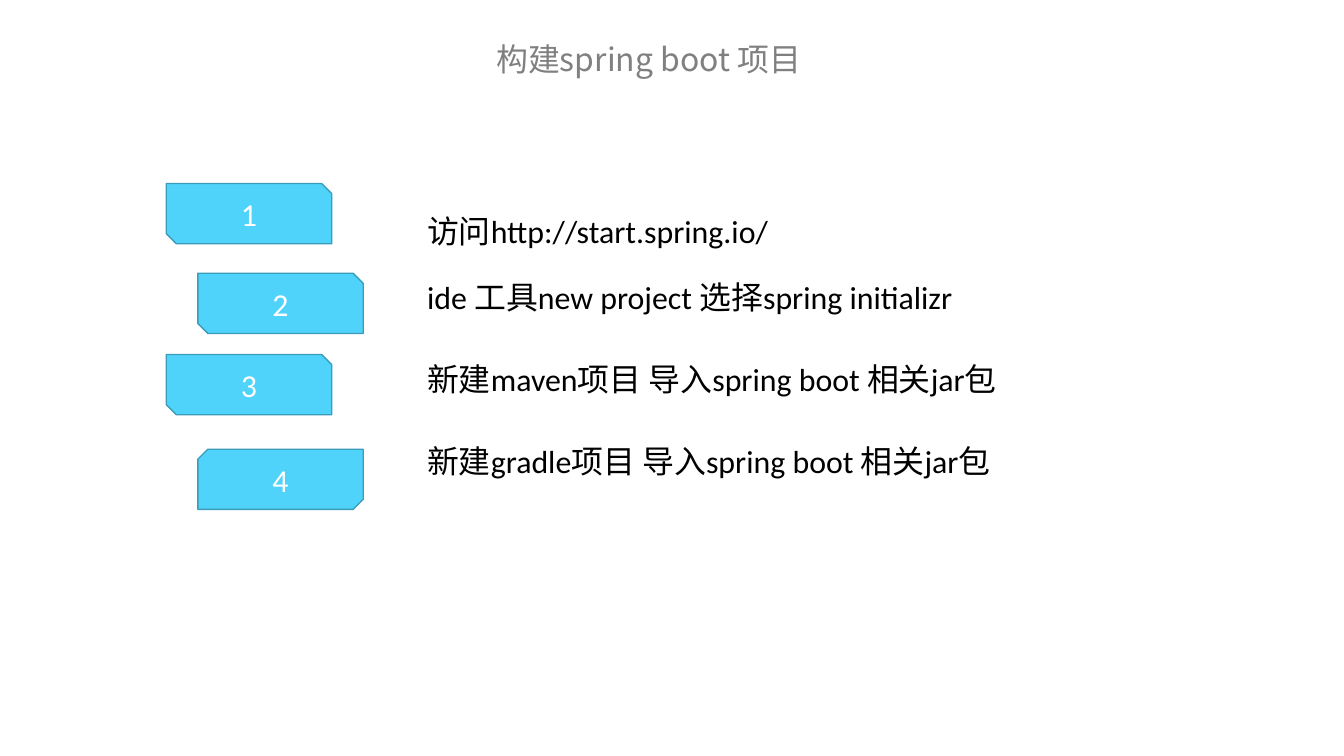
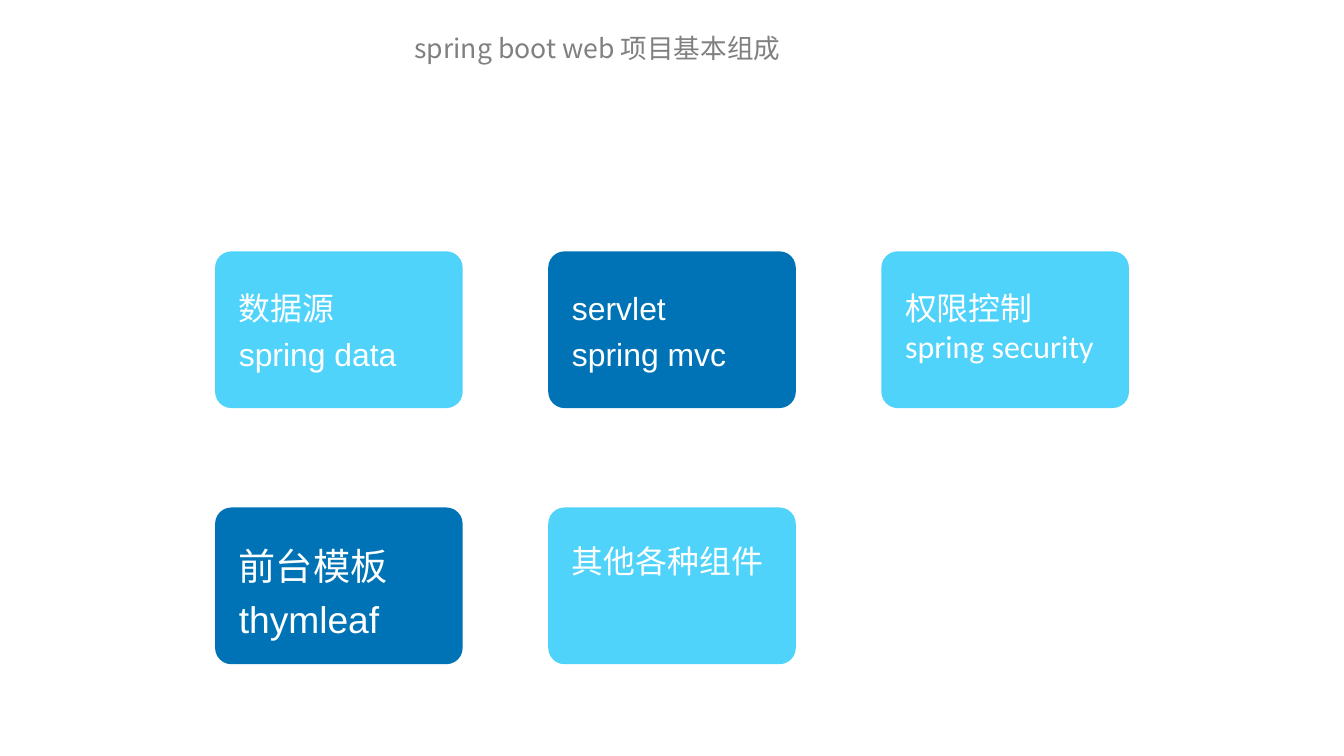
from pptx import Presentation
from pptx.dml.color import RGBColor
from pptx.enum.shapes import MSO_SHAPE as Shape
from pptx.enum.text import MSO_ANCHOR as Anchor, PP_ALIGN as Align
from pptx.oxml.ns import qn
from pptx.util import Inches, Pt

COLORS = {"sky": "50D3FA", "blue": "0073B6", "edge": "3B9CB9",
          "title": "808080", "text": "000000", "white": "FFFFFF"}
CJK_FONT = "Noto Sans CJK SC"

BUILD_TITLE = ("构建spring boot 项目", (4.01, 0.37, 5.55, 0.92), 24)
PARTS_TITLE = ("spring boot web 项目基本组成", (3.62, 0.29, 5.26, 0.76), 20)

STEPS = [
    ("访问http://start.spring.io/", 1.92, (2.16, 5.43, 0.91)),
    ("ide 工具new project 选择spring initializr", 2.86, (2.86, 6.47, 0.91)),
    ("新建maven项目 导入spring boot 相关jar包", 3.71, (3.71, 7.52, 0.5)),
    ("新建gradle项目 导入spring boot 相关jar包", 4.7, (4.57, 8.47, 0.5)),
]
BADGE_LEFTS = (1.74, 2.07)
BADGE_SIZE = (1.73, 0.63)
STEP_LEFT = 4.37
SNIP = 0.16667

JUSTIFIED = {"font": "Arial", "align": Align.JUSTIFY, "spacing": 1.2}
PLAIN = {"font": "Calibri"}
CARDS = [
    (["数据源", "spring data"], 24, (0.26, 1.07), JUSTIFIED),
    (["servlet", "spring mvc"], 24, (0.26, 1.07), JUSTIFIED),
    (["权限控制", "spring security"], 24, (0.34, 0.91), PLAIN),
    (["前台模板", "thymleaf"], 28, (0.23, 1.23), JUSTIFIED),
    (["其他各种组件"], 24, (0.23, 0.58), JUSTIFIED),
]
CARD_COLUMNS = 3
CARD_ORIGIN = (2.25, 2.63)
CARD_PITCH = (3.485, 2.68)
CARD_SIZE = (2.59, 1.64)
CARD_INSET = 0.15


def color(name):
    return RGBColor.from_string(COLORS[name])


def write(shape, lines, size, ink, font="Calibri", align=Align.LEFT,
          spacing=None, after=None):
    frame = shape.text_frame
    frame.word_wrap = True
    frame.text = "\n".join(lines)
    for para in frame.paragraphs:
        para.alignment = align
        para.line_spacing = spacing
        para.space_after = after
        for span in para.runs:
            span.font.size = Pt(size)
            span.font.name = font
            span.font.color.rgb = color(ink)
            east_asian = span.font._element.makeelement(qn("a:ea"), {"typeface": CJK_FONT})
            span.font._element.find(qn("a:latin")).addnext(east_asian)


def add_text(page, area, lines, size, ink, **style):
    box = page.shapes.add_textbox(*map(Inches, area))
    write(box, lines, size, ink, **style)


def add_block(page, kind, area, fill, edge=None):
    block = page.shapes.add_shape(kind, *map(Inches, area))
    block.shadow.inherit = False
    block.fill.solid()
    block.fill.fore_color.rgb = color(fill)
    if edge:
        block.line.color.rgb = color(edge)
        block.line.width = Pt(1)
    else:
        block.line.fill.background()
    return block


def add_page(deck, title):
    page = deck.slides.add_slide(deck.slide_layouts[6])
    text, area, size = title
    add_text(page, area, [text], size, "title", font=CJK_FONT,
             align=Align.CENTER, after=Pt(6))
    return page


def build_steps(deck):
    page = add_page(deck, BUILD_TITLE)
    for index, (text, badge_top, (top, width, height)) in enumerate(STEPS):
        add_text(page, (STEP_LEFT, top, width, height), [text], 24, "text")
        area = (BADGE_LEFTS[index % 2], badge_top, *BADGE_SIZE)
        badge = add_block(page, Shape.SNIP_2_DIAG_RECTANGLE, area, "sky", "edge")
        mirrored = index == len(STEPS) - 1
        badge.adjustments[0] = SNIP if mirrored else 0
        badge.adjustments[1] = 0 if mirrored else SNIP
        badge.text_frame.vertical_anchor = Anchor.MIDDLE
        write(badge, [str(index + 1)], 24, "white", align=Align.CENTER)


def build_parts(deck):
    page = add_page(deck, PARTS_TITLE)
    width, height = CARD_SIZE
    for index, (lines, size, (offset, text_height), style) in enumerate(CARDS):
        row, column = divmod(index, CARD_COLUMNS)
        left = CARD_ORIGIN[0] + column * CARD_PITCH[0]
        top = CARD_ORIGIN[1] + row * CARD_PITCH[1]
        fill = ("sky", "blue")[index % 2]
        card = add_block(page, Shape.ROUNDED_RECTANGLE, (left, top, width, height), fill)
        card.adjustments[0] = 0.104
        area = (left + CARD_INSET, top + offset, width - 2 * CARD_INSET, text_height)
        add_text(page, area, lines, size, "white", **style)


def main():
    deck = Presentation()
    deck.slide_width, deck.slide_height = Inches(14.06), Inches(7.91)
    build_steps(deck)
    build_parts(deck)
    deck.save("out.pptx")


if __name__ == "__main__":
    main()
